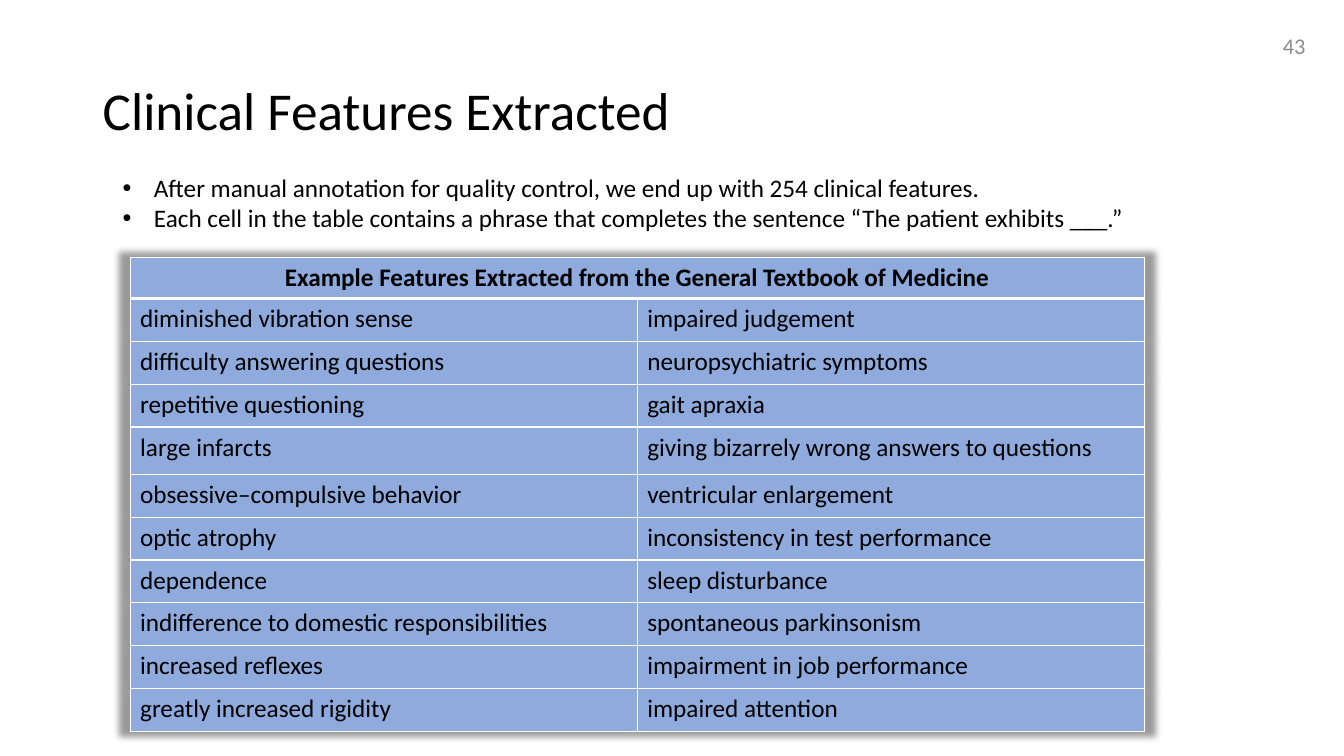
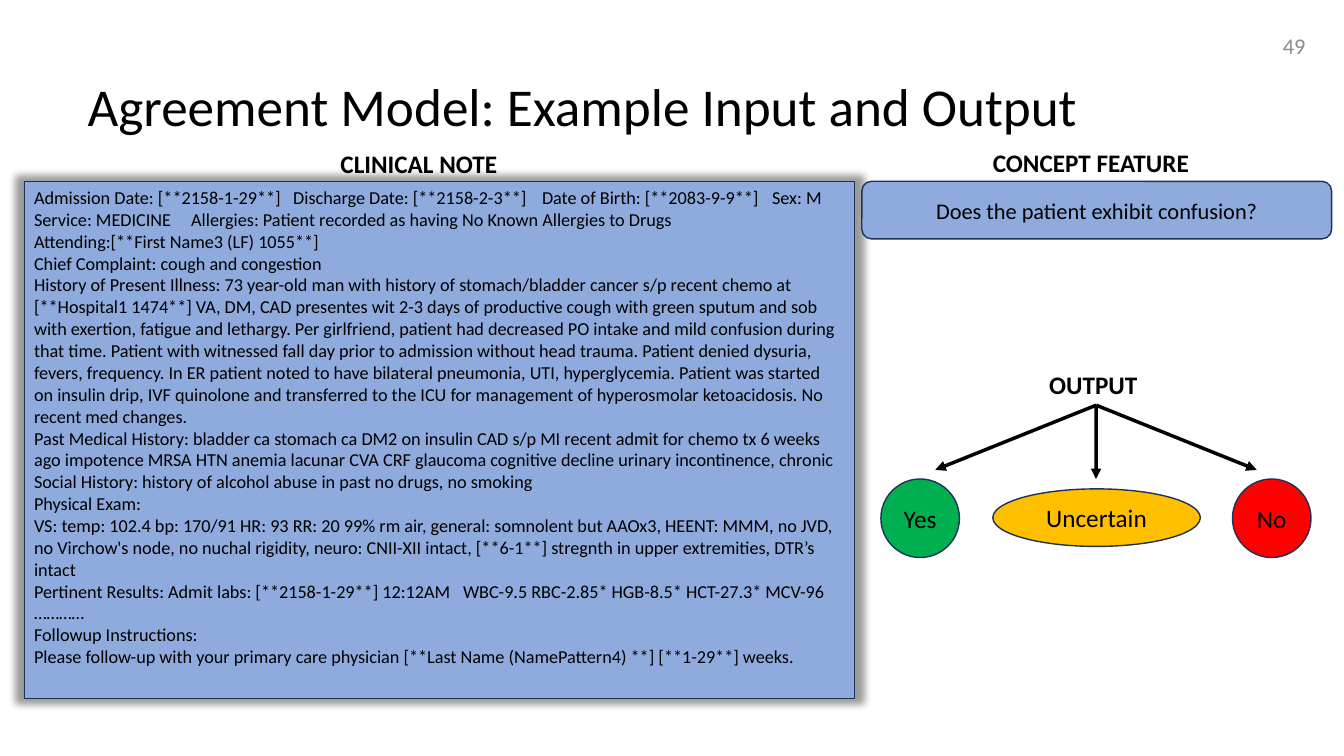
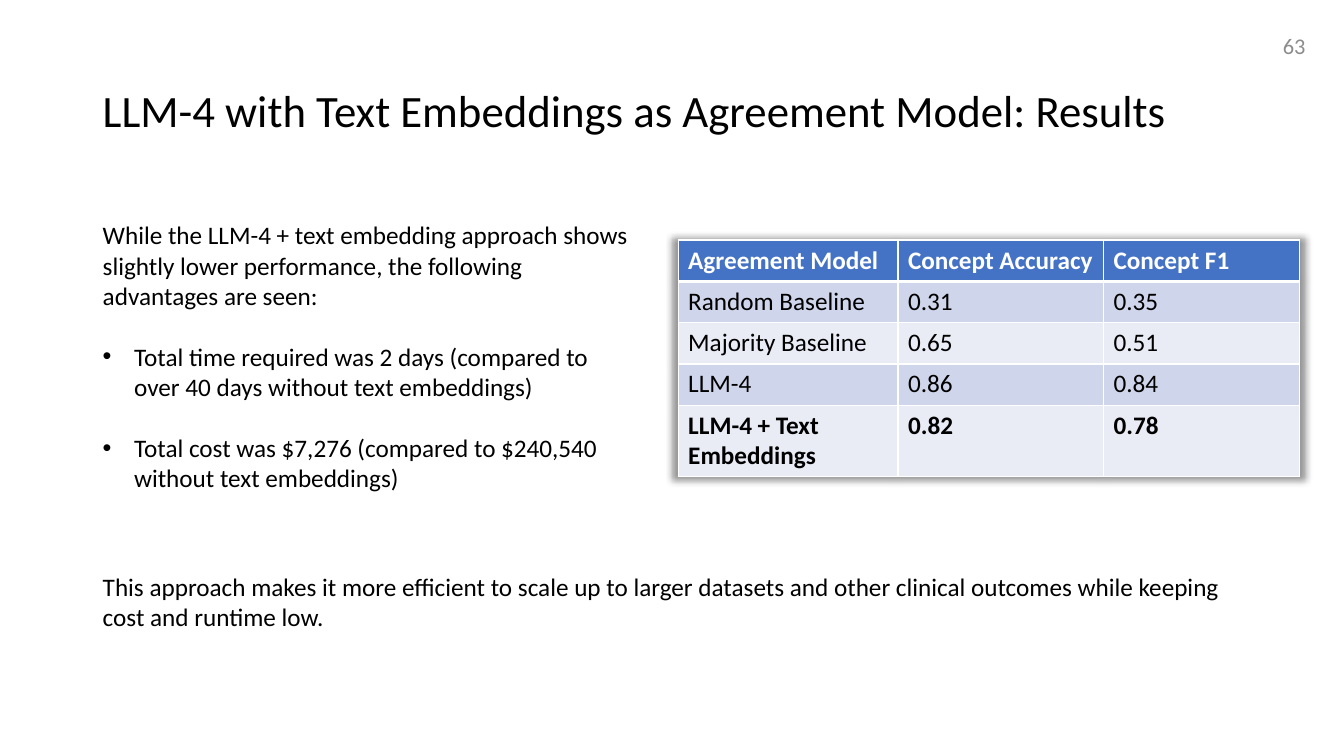
from dataclasses import dataclass

import pptx
import pptx.dml.color
import pptx.enum.shapes
import pptx.enum.text
import pptx.oxml
import pptx.oxml.ns
import pptx.util
from pptx.util import Cm

FONT = "Calibri"
BLACK, WHITE, GREY = "000000", "FFFFFF", "8C8C8C"
PALE_BLUE, OUTLINE = "8FAADC", "1E3256"
HEADER_BLUE, BAND_DARK, BAND_LIGHT = "4472C4", "CFD5EA", "E9EBF5"
GREEN, AMBER, RED = "00B050", "FFC000", "FF0000"

ALIGN = pptx.enum.text.PP_ALIGN
ANCHOR = pptx.enum.text.MSO_ANCHOR
SHAPE = pptx.enum.shapes.MSO_SHAPE
qn = pptx.oxml.ns.qn
NAMESPACE = pptx.oxml.ns.nsdecls("a")

FEATURES = [
    ["Example Features Extracted from the General Textbook of Medicine"],
    ["diminished vibration sense", "impaired judgement"],
    ["difficulty answering questions", "neuropsychiatric symptoms"],
    ["repetitive questioning", "gait apraxia"],
    ["large infarcts", "giving bizarrely wrong answers to questions"],
    ["obsessive–compulsive behavior", "ventricular enlargement"],
    ["optic atrophy", "inconsistency in test performance"],
    ["dependence", "sleep disturbance"],
    ["indifference to domestic responsibilities", "spontaneous parkinsonism"],
    ["increased reflexes", "impairment in job performance"],
    ["greatly increased rigidity", "impaired attention"],
]

RESULTS = [
    ["Agreement Model", "Concept Accuracy", "Concept F1"],
    ["Random Baseline", "0.31", "0.35"],
    ["Majority Baseline", "0.65", "0.51"],
    ["LLM-4", "0.86", "0.84"],
    ["LLM-4 + Text Embeddings", "0.82", "0.78"],
]


@dataclass
class Line:
    text: str
    bullet: bool = False
    gap: float = 0
    tabs: tuple = ()


CLINICAL_NOTE = [
    Line("Admission Date: [**2158-1-29**]\tDischarge Date: [**2158-2-3**]\t"
         "Date of Birth: [**2083-9-9**]\tSex: M", tabs=(6.53, 12.8, 18.6)),
    Line("Service: MEDICINE\tAllergies: Patient recorded as having No Known "
         "Allergies to Drugs", tabs=(3.96,)),
    Line("Attending:[**First Name3 (LF) 1055**]"),
    Line("Chief Complaint: cough and congestion"),
    Line("History of Present Illness: 73 year-old man with history of "
         "stomach/bladder cancer s/p recent chemo at [**Hospital1 1474**] VA, DM, "
         "CAD presentes wit 2-3 days of productive cough with green sputum and sob "
         "with exertion, fatigue and lethargy. Per girlfriend, patient had decreased "
         "PO intake and mild confusion during that time. Patient with witnessed fall "
         "day prior to admission without head trauma. Patient denied dysuria, fevers, "
         "frequency. In ER patient noted to have bilateral pneumonia, UTI, "
         "hyperglycemia. Patient was started on insulin drip, IVF quinolone and "
         "transferred to the ICU for management of hyperosmolar ketoacidosis. No "
         "recent med changes."),
    Line("Past Medical History: bladder ca stomach ca DM2 on insulin CAD s/p MI "
         "recent admit for chemo tx 6 weeks ago impotence MRSA HTN anemia lacunar CVA "
         "CRF glaucoma cognitive decline urinary incontinence, chronic"),
    Line("Social History: history of alcohol abuse in past no drugs, no smoking"),
    Line("Physical Exam:"),
    Line("VS: temp: 102.4 bp: 170/91 HR: 93 RR: 20 99% rm air, general: somnolent "
         "but AAOx3, HEENT: MMM, no JVD, no Virchow's node, no nuchal rigidity, "
         "neuro: CNII-XII intact, [**6-1**] stregnth in upper extremities, DTR’s "
         "intact"),
    Line("Pertinent Results: Admit labs: [**2158-1-29**] 12:12AM\tWBC-9.5 RBC-2.85* "
         "HGB-8.5* HCT-27.3* MCV-96", tabs=(10.81,)),
    Line("…………"),
    Line("Followup Instructions:"),
    Line("Please follow-up with your primary care physician [**Last Name "
         "(NamePattern4) **] [**1-29**] weeks."),
]


def rgb(color):
    return pptx.dml.color.RGBColor.from_string(color)


def add_xml(parent, markup):
    head, tail = markup.split(" ", 1) if " " in markup else (markup[:-2], "/>")
    parent.append(pptx.oxml.parse_xml(f"{head} {NAMESPACE} {tail}"))


def add_glow(effects):
    add_xml(effects, '<a:outerShdw blurRad="63500" sx="102000" sy="102000" '
            'algn="ctr" rotWithShape="0"><a:srgbClr val="000000">'
            '<a:alpha val="40000"/></a:srgbClr></a:outerShdw>')


def write(frame, lines, size=18, color=BLACK, bold=False, align=ALIGN.LEFT,
          spacing=None):
    for index, line in enumerate(lines):
        paragraph = frame.add_paragraph() if index else frame.paragraphs[0]
        paragraph.text = line.text
        paragraph.alignment = align
        properties = paragraph._p.get_or_add_pPr()
        if line.bullet:
            properties.set("marL", str(Cm(0.79)))
            properties.set("indent", str(-Cm(0.79)))
            add_xml(properties, '<a:buFont typeface="Arial"/>')
            add_xml(properties, '<a:buChar char="•"/>')
        if line.tabs:
            stops = "".join(f'<a:tab pos="{Cm(stop)}" algn="l"/>' for stop in line.tabs)
            add_xml(properties, f"<a:tabLst >{stops}</a:tabLst>")
        if line.gap:
            paragraph.space_before = pptx.util.Pt(line.gap)
        if spacing:
            paragraph.line_spacing = spacing
        font = paragraph.font
        font.name, font.size, font.bold = FONT, pptx.util.Pt(size), bold
        font.color.rgb = rgb(color)


def add_text(slide, box, lines, anchor=ANCHOR.TOP, **style):
    text_box = slide.shapes.add_textbox(*map(Cm, box))
    text_box.text_frame.word_wrap = True
    text_box.text_frame.vertical_anchor = anchor
    write(text_box.text_frame, lines, **style)
    return text_box


def add_panel(slide, kind, box, fill, line_width=1):
    panel = slide.shapes.add_shape(kind, *map(Cm, box))
    panel.shadow.inherit = False
    panel.fill.solid()
    panel.fill.fore_color.rgb = rgb(fill)
    panel.line.color.rgb = rgb(OUTLINE)
    panel.line.width = pptx.util.Pt(line_width)
    return panel


def add_label_shape(slide, kind, box, fill, label, size=18):
    frame = add_panel(slide, kind, box, fill).text_frame
    frame.margin_left = frame.margin_right = 0
    frame.word_wrap = False
    frame.vertical_anchor = ANCHOR.MIDDLE
    write(frame, [Line(label)], size=size, align=ALIGN.CENTER)


def add_arrow(slide, source, x, y):
    arrow = slide.shapes.add_connector(
        pptx.enum.shapes.MSO_CONNECTOR.STRAIGHT, 0, 0, Cm(x), Cm(y))
    arrow.begin_connect(source, 2)
    arrow.line.color.rgb = rgb(BLACK)
    arrow.line.width = pptx.util.Pt(2.5)
    add_xml(arrow.line._get_or_add_ln(), '<a:tailEnd type="triangle"/>')
    add_xml(arrow._element.spPr, "<a:effectLst/>")


def style_cell(cell, fill, row):
    properties = cell._tc.get_or_add_tcPr()
    widths = {"L": 1, "R": 1, "T": 3 if row == 1 else 1, "B": 1 if row else 3}
    for side, width in widths.items():
        add_xml(properties, f'<a:ln{side} w="{pptx.util.Pt(width)}"><a:solidFill>'
                f'<a:srgbClr val="{WHITE}"/></a:solidFill></a:ln{side}>')
    cell.fill.solid()
    cell.fill.fore_color.rgb = rgb(fill)


def add_grid(slide, left, top, widths, heights, rows, fills, header_style,
             bold_rows=()):
    table = slide.shapes.add_table(
        len(rows), len(widths), Cm(left), Cm(top),
        Cm(sum(widths)), Cm(sum(heights))).table
    for column, width in zip(table.columns, widths):
        column.width = Cm(width)
    for index, (texts, height, fill) in enumerate(zip(rows, heights, fills)):
        table.rows[index].height = Cm(height)
        for cell in table.rows[index].cells:
            style_cell(cell, fill, index)
        if len(texts) < len(widths):
            table.cell(index, 0).merge(table.cell(index, len(widths) - 1))
        style = {"bold": index in bold_rows} if index else header_style
        for column, text in enumerate(texts):
            write(table.cell(index, column).text_frame, [Line(text)], **style)
    properties = table._tbl.tblPr
    add_xml(properties, "<a:effectLst/>")
    effects = properties[-1]
    add_glow(effects)
    properties.insert(0, effects)


def add_slide(deck, title, number, size=38, left=2.34, top=1.02):
    slide = deck.slides.add_slide(deck.slide_layouts[6])
    add_text(slide, (left, top, 29.21, 3.68), [Line(title)], ANCHOR.MIDDLE,
             size=size, spacing=0.9)
    add_text(slide, (25.53, 0.64, 7.62, 1.02), [Line(number)], ANCHOR.MIDDLE,
             size=16, color=GREY, align=ALIGN.RIGHT)
    return slide


def build_features(deck):
    slide = add_slide(deck, "Clinical Features Extracted", "43")
    add_text(slide, (2.84, 4.22, 26.42, 1.8), [
        Line("After manual annotation for quality control, we end up with 254 "
             "clinical features.", bullet=True),
        Line("Each cell in the table contains a phrase that completes the sentence "
             "“The patient exhibits ___.”", bullet=True)])
    heights = [1.04] + [1.08] * 3 + [1.19] + [1.08] * 6
    add_grid(slide, 3.28, 6.48, [12.78] * 2, heights, FEATURES,
             [PALE_BLUE] * len(FEATURES), {"bold": True, "align": ALIGN.CENTER})


def build_example(deck):
    slide = add_slide(deck, "Agreement Model: Example Input and Output", "49",
                      left=1.96, top=0.91)
    note = add_panel(slide, SHAPE.RECTANGLE, (0.61, 4.57, 20.93, 13.03),
                     PALE_BLUE, 0.75)
    add_glow(note._element.spPr.find(qn("a:effectLst")))
    note.text_frame.word_wrap = True
    note.text_frame.margin_right = Cm(0.35)
    note.text_frame.vertical_anchor = ANCHOR.TOP
    write(note.text_frame, CLINICAL_NOTE, size=13)
    add_label_shape(slide, SHAPE.ROUNDED_RECTANGLE, (21.72, 4.57, 11.84, 1.45),
                    PALE_BLUE, "Does the patient exhibit confusion?", 16)
    add_text(slide, (8.33, 3.61, 4.8, 1.02), [Line("CLINICAL NOTE")], bold=True)
    add_text(slide, (24.77, 3.58, 5.79, 1.02), [Line("CONCEPT FEATURE")], bold=True)
    output = add_text(slide, (26.19, 9.19, 2.87, 1.02), [Line("OUTPUT")], bold=True)
    answers = [("Yes", GREEN, 22.2, 12.07, 1.98, 1.98),
               ("Uncertain", AMBER, 25.02, 12.32, 5.23, 1.45),
               ("No", RED, 31.06, 12.07, 1.98, 1.98)]
    for label, fill, *box in answers:
        add_label_shape(slide, SHAPE.OVAL, box, fill, label)
    for x, y in [(23.57, 11.84), (27.62, 12.07), (31.67, 11.84)]:
        add_arrow(slide, output, x, y)


def build_results(deck):
    slide = add_slide(deck, "LLM-4 with Text Embeddings as Agreement Model: Results",
                      "63", size=32)
    add_grid(slide, 17.09, 6.05, [5.54, 5.18, 4.93], [1.04] * 4 + [1.8], RESULTS,
             [HEADER_BLUE] + [BAND_DARK, BAND_LIGHT] * 2,
             {"bold": True, "color": WHITE}, bold_rows=(4,))
    add_text(slide, (2.34, 5.41, 13.94, 7.19), [
        Line("While the LLM-4 + text embedding approach shows slightly lower "
             "performance, the following advantages are seen:"),
        Line("Total time required was 2 days (compared to over 40 days without text "
             "embeddings)", bullet=True, gap=22),
        Line("Total cost was $7,276 (compared to $240,540 without text embeddings)",
             bullet=True, gap=22)])
    add_text(slide, (2.34, 14.27, 29.54, 2.57), [
        Line("This approach makes it more efficient to scale up to larger datasets "
             "and other clinical outcomes while keeping cost and runtime low.")])


def main():
    deck = pptx.Presentation()
    deck.slide_width, deck.slide_height = Cm(33.87), Cm(19.05)
    build_features(deck)
    build_example(deck)
    build_results(deck)
    deck.save("out.pptx")


if __name__ == "__main__":
    main()
